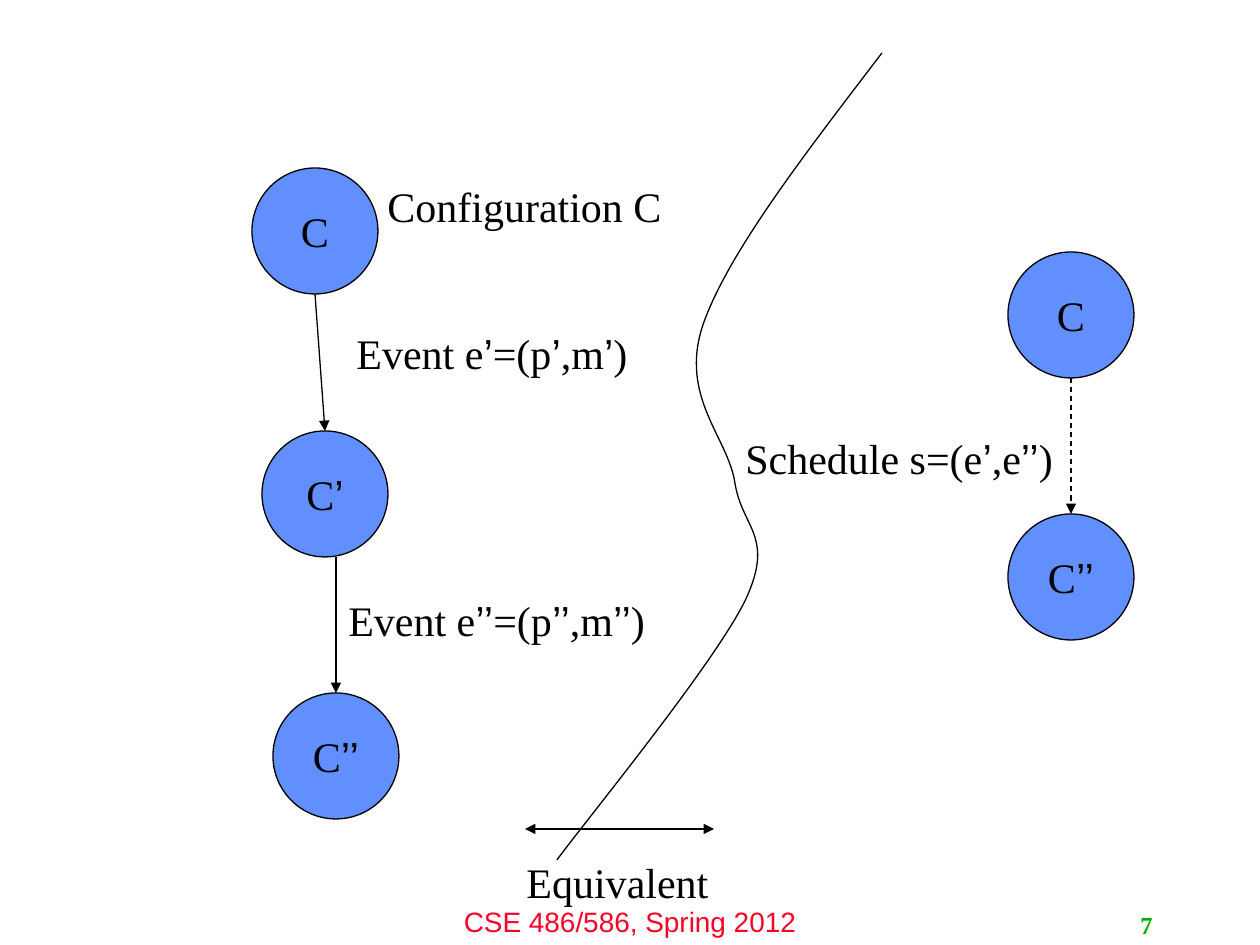
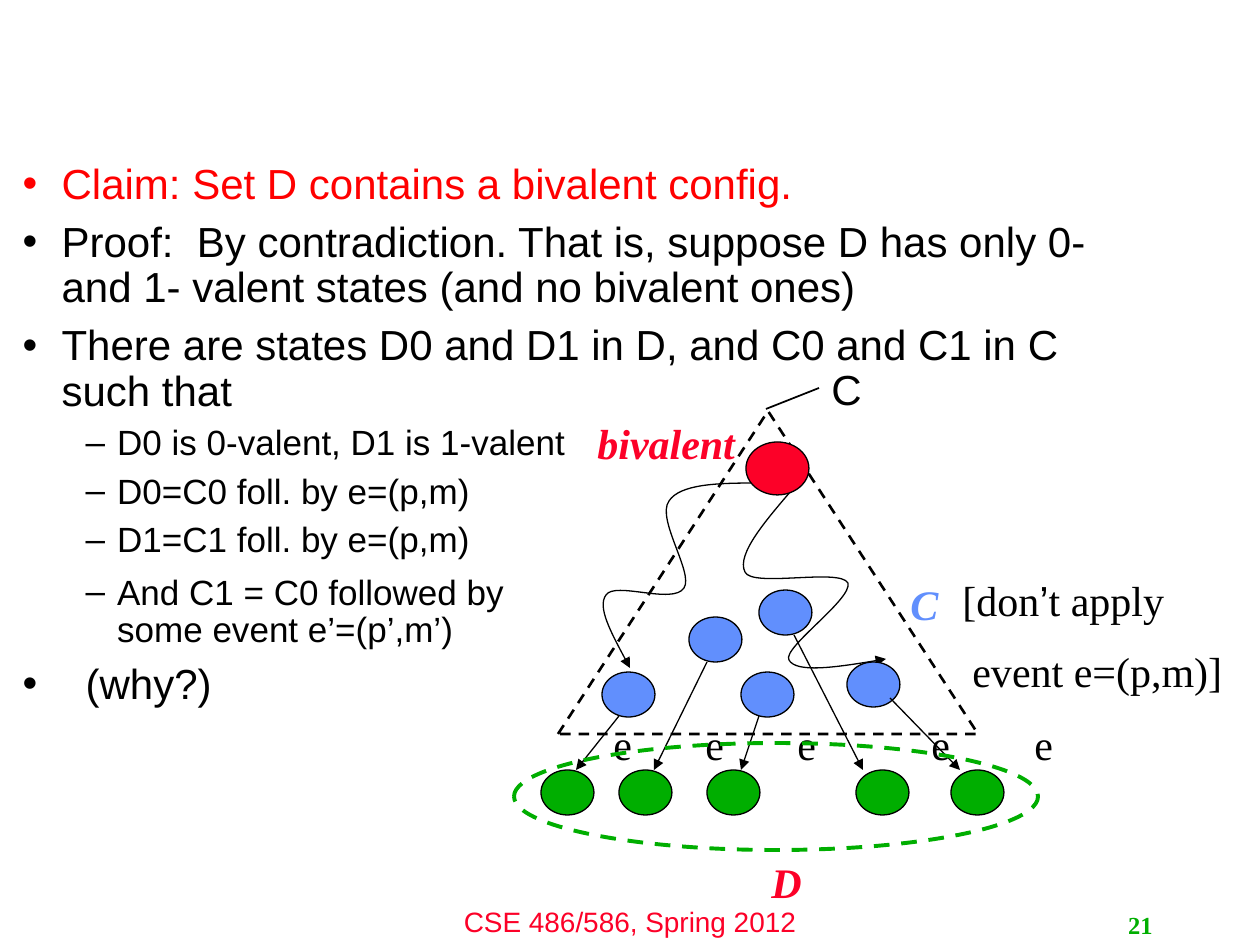
from dataclasses import dataclass
from itertools import groupby

from lxml import etree
from pptx import Presentation
from pptx import util as u
from pptx.dml.color import RGBColor
from pptx.enum import dml, shapes, text
from pptx.oxml.ns import qn

Kind = shapes.MSO_SHAPE
Align = text.PP_ALIGN


def px(n):
    """Pixels (126 to the inch) to EMU."""
    return round(n * 914400 / 126)


@dataclass(frozen=True)
class Theme:
    serif: str = "Times New Roman"
    sans: str = "Arial"
    ink: str = "000000"
    blue: str = "618FFD"
    green: str = "00AE00"
    red: str = "FC0128"
    claim: str = "FF0000"
    big: int = 24
    sub: int = 20
    foot: int = 16
    num: int = 14
    thin: float = 0.75


T = Theme()


def write(par, words, size=T.big, font=T.serif, color=T.ink, bold=False,
          ital=False, align=None, gap=50, left=0, hang=0, bullet=None):
    """Fill a paragraph; apostrophes are always set in the sans font."""
    for mark, part in groupby(words, lambda c: c if c in "’\v" else ""):
        if mark == "\v":
            par.add_line_break()
            continue
        run = par.add_run()
        run.text = "".join(part)
        face = run.font
        face.name = T.sans if mark else font
        face.size = u.Pt(size)
        face.bold, face.italic = bold, ital
        face.color.rgb = RGBColor.from_string(color)
    par.alignment = align
    props = par._p.get_or_add_pPr()
    if gap:  # space before, as a share of the line
        par.space_before = u.Pt(0)
        space = props.find(qn("a:spcBef"))
        space.remove(space[0])
        etree.SubElement(space, qn("a:spcPct"), val=str(gap * 1000))
    if left:
        props.set("marL", str(px(left)))
        props.set("indent", str(-px(hang)))
    if bullet:
        etree.SubElement(props, qn("a:buChar"), char=bullet)


class Deck:
    def __init__(self):
        self.prs = Presentation()
        self.prs.slide_width, self.prs.slide_height = px(1260), px(945)
        self.slide = None

    def page(self, num, layout=6):
        """Start a slide with the shared footer and its number."""
        self.slide = self.prs.slides.add_slide(self.prs.slide_layouts[layout])
        self.label(420, 898, 420, 47, "CSE 486/586, Spring 2012", wrap=True,
                   size=T.foot, font=T.sans, color=T.red, align=Align.CENTER)
        self.label(903, 905, 262, 40, num, wrap=True, grow=False, size=T.num,
                   color=T.green, bold=True, align=Align.RIGHT, gap=0)

    def label(self, x, y, w, h, *lines, wrap=False, grow=True, step=0, **form):
        """Text box; each further line is indented by step."""
        box = self.slide.shapes.add_textbox(px(x), px(y), px(w), px(h))
        frame = box.text_frame
        frame.word_wrap = wrap
        if grow:
            frame.auto_size = text.MSO_AUTO_SIZE.SHAPE_TO_FIT_TEXT
        else:
            frame.vertical_anchor = text.MSO_ANCHOR.MIDDLE
        for i, words in enumerate(lines):
            par = frame.add_paragraph() if i else frame.paragraphs[0]
            write(par, words, left=i * step, **form)

    def points(self, x, y, w, h, items):
        """Bulleted list in the body placeholder."""
        self.slide.shapes.title.element.getparent().remove(
            self.slide.shapes.title.element)
        body = self.slide.placeholders[1]
        body.left, body.top, body.width, body.height = map(px, (x, y, w, h))
        frame = body.text_frame
        frame.auto_size = text.MSO_AUTO_SIZE.NONE
        looks = (dict(size=T.big, left=39, hang=39, bullet="•"),
                 dict(size=T.sub, left=94.5, hang=31.5, bullet="–"))
        for i, (level, words, color) in enumerate(items):
            par = frame.add_paragraph() if i else frame.paragraphs[0]
            par.level, par.line_spacing = level, 0.9
            write(par, words, font=T.sans, color=color, gap=30, **looks[level])

    def stroke(self, item, color=T.ink, width=T.thin, dash=False, ends=""):
        """Line format; ends names the arrowheads, in order head, tail."""
        item.line.color.rgb = RGBColor.from_string(color)
        item.line.width = u.Pt(width)
        if dash:
            item.line.dash_style = dml.MSO_LINE.DASH
        line = item._element.xpath("./p:spPr/a:ln")[0]
        for end in ends.split():
            etree.SubElement(line, qn(f"a:{end}End"), type="triangle")

    def shape(self, kind, x, y, w, h, fill=None, words="", **line):
        item = self.slide.shapes.add_shape(kind, px(x), px(y), px(w), px(h))
        item.shadow.inherit = False
        if fill:
            item.fill.solid()
            item.fill.fore_color.rgb = RGBColor.from_string(fill)
        else:
            item.fill.background()
        self.stroke(item, **line)
        if words:
            frame = item.text_frame
            frame.word_wrap = False
            frame.vertical_anchor = text.MSO_ANCHOR.MIDDLE
            write(frame.paragraphs[0], words, align=Align.CENTER)

    def link(self, x1, y1, x2, y2, **line):
        item = self.slide.shapes.add_connector(
            shapes.MSO_CONNECTOR.STRAIGHT, px(x1), px(y1), px(x2), px(y2))
        self.stroke(item, **line)
        etree.SubElement(item._element.spPr, qn("a:effectLst"))

    def curve(self, start, *nodes, **line):
        """Bezier curve: after the start, three points to a segment."""
        pen = self.slide.shapes.build_freeform(*map(px, start))
        pen.add_line_segments([(px(x), px(y)) for x, y in nodes], close=False)
        item = pen.convert_to_shape()
        legs = item._element.xpath(".//a:lnTo")
        for a, b, c in zip(legs[::3], legs[1::3], legs[2::3]):
            a.tag = qn("a:cubicBezTo")
            for leg in (b, c):
                a.append(leg[0])
                leg.getparent().remove(leg)
        item.fill.background()
        item.shadow.inherit = False
        self.stroke(item, **line)


deck = Deck()

# Slide 7: two events against one schedule
deck.page("7")
for x, y, name in ((252, 168, "C"), (262, 431, "C’"), (273, 693, "C’’"),
                   (1008, 252, "C"), (1008, 514, "C’’")):
    deck.shape(Kind.OVAL, x, y, 126, 126, T.blue, name)
deck.link(315, 294, 325, 431, ends="tail")
deck.link(336, 557, 336, 693, ends="tail")
deck.link(1071, 378, 1071, 514, dash=True, ends="tail")
for x, y, w, words in ((344, 321, 310, "Event e’=(p’,m’)"),
                       (336, 588, 352, "Event e’’=(p’’,m’’)"),
                       (375, 174, 300, "Configuration C"),
                       (733, 426, 348, "Schedule s=(e’,e’’)"),
                       (514, 850, 207, "Equivalent")):
    deck.label(x, y, w, 63, words)
deck.curve((882, 53), (805, 154), (728, 253), (703, 325),
           (679, 397), (728, 437), (735, 483),
           (742, 528), (775, 536), (746, 599),
           (716, 662), (588, 818), (557, 860))
deck.link(525, 829, 714, 829, ends="head tail")

# Slide 21: claim and proof
deck.page("21", layout=1)
deck.points(10, 157, 1134, 638, (
    (0, "Claim: Set D contains a bivalent config.", T.claim),
    (0, "Proof:  By contradiction. That is, suppose D has only 0- and 1- "
        "valent states (and no bivalent ones)", T.ink),
    (0, "There are states D0 and D1 in D, and C0 and C1 in C  such that ",
     T.ink),
    (1, "D0 is 0-valent, D1 is 1-valent", T.ink),
    (1, "D0=C0 foll. by e=(p,m)", T.ink),
    (1, "D1=C1 foll. by e=(p,m)", T.ink),
    (1, "And C1 = C0 followed by \vsome event e’=(p’,m’)", T.ink),
    (0, "\t(why?)", T.ink)))

# Paths from the bivalent state
deck.curve((755, 483), (718, 483), (680, 484), (669, 501),
           (656, 519), (694, 573), (684, 588),
           (673, 605), (615, 581), (606, 595),
           (597, 607), (614, 638), (630, 668), ends="tail")
deck.curve((798, 483), (767, 519), (736, 554), (745, 572),
           (752, 588), (840, 568), (848, 583),
           (853, 599), (782, 648), (789, 660),
           (796, 673), (840, 667), (886, 659), ends="tail")

# States in C and in D
blues = [(847, 662), (602, 672), (689, 617), (741, 672), (759, 590)]
greens = [(x, 770) for x in (541, 619, 707, 856, 951)]
for spots, color in ((blues, T.blue), (greens, T.green)):
    for x, y in spots:
        deck.shape(Kind.OVAL, x, y, 53, 45, color)
deck.shape(Kind.ISOSCELES_TRIANGLE, 558, 411, 420, 323, width=1.5, dash=True)

# Event e leads from C to D
for x1, y1, x2 in ((619, 716, 576), (707, 662, 654), (794, 635, 863),
                   (890, 698, 960), (759, 716, 741)):
    deck.link(x1, y1, x2, 770, ends="tail")
for x in (601, 693, 785, 919, 1022):
    deck.label(x, 712, 44, 63, "e")
deck.shape(Kind.OVAL, 514, 743, 524, 107, color=T.green, width=2.25, dash=True)

# Names
for x, y, w, words, color in ((759, 850, 55, "D", T.red),
                              (898, 572, 53, "C", T.blue),
                              (585, 411, 163, "bivalent", T.red)):
    deck.label(x, y, w, 63, words, color=color, bold=True, ital=True)
deck.label(950, 568, 289, 140, "[don’t apply", "event e=(p,m)]", step=10)
deck.shape(Kind.OVAL, 746, 442, 63, 53, T.red)
deck.label(819, 357, 55, 58, "C", font=T.sans)
deck.link(819, 388, 766, 409, width=1)

deck.prs.save("out.pptx")
